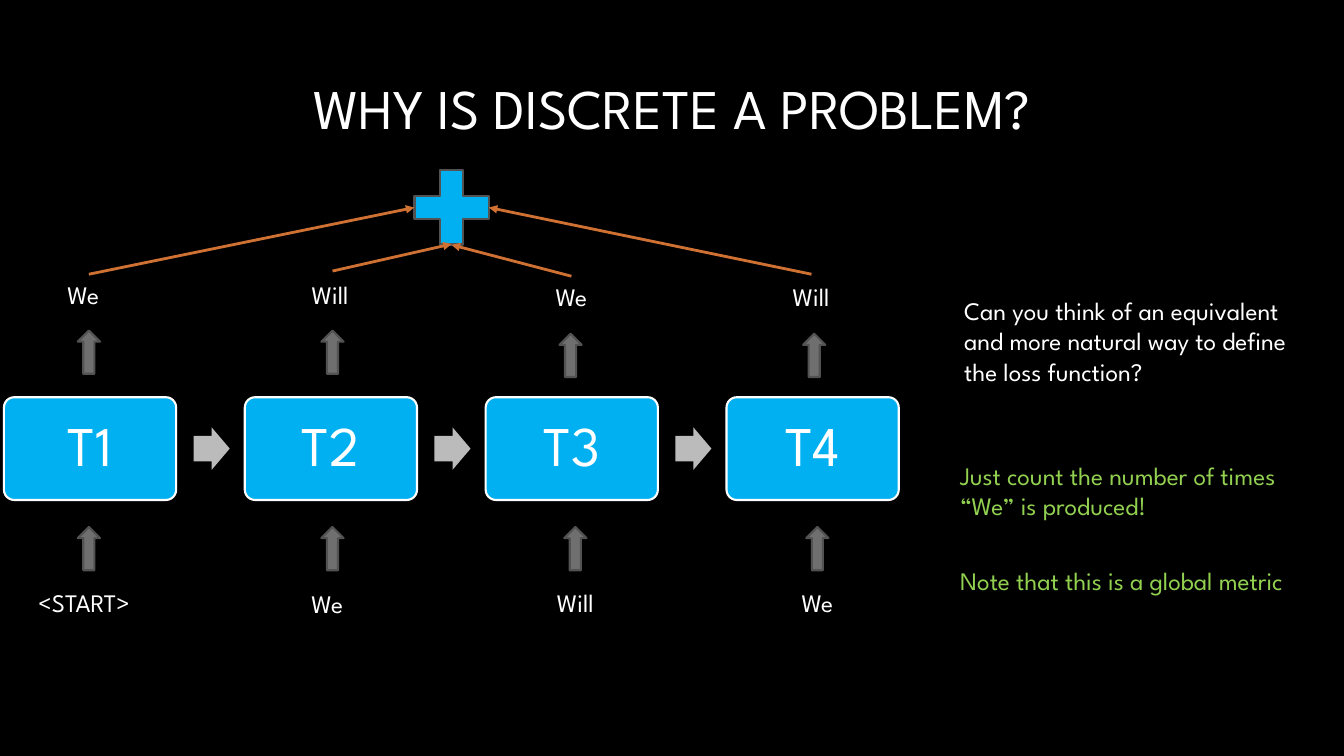
from pptx import Presentation
from pptx.dml.color import RGBColor
from pptx.enum.shapes import MSO_CONNECTOR, MSO_SHAPE
from pptx.enum.text import MSO_ANCHOR, MSO_AUTO_SIZE, PP_ALIGN
from pptx.oxml.ns import qn
from pptx.util import Cm, Pt
from lxml import etree

STRAIGHT = MSO_CONNECTOR.STRAIGHT
ROUNDED = MSO_SHAPE.ROUNDED_RECTANGLE
RIGHT_ARROW = MSO_SHAPE.RIGHT_ARROW
UP_ARROW = MSO_SHAPE.UP_ARROW
PLUS = MSO_SHAPE.MATH_PLUS
TOP, MIDDLE = MSO_ANCHOR.TOP, MSO_ANCHOR.MIDDLE
LEFT, CENTER = PP_ALIGN.LEFT, PP_ALIGN.CENTER
NO_AUTOFIT = MSO_AUTO_SIZE.NONE

WHITE, BLACK, BLUE, GREEN = "FFFFFF", "000000", "00B0F0", "92D050"
SILVER, GRAY, DARK_GRAY, ORANGE = "BBBBBB", "6F6F6F", "525252", "CF7133"

STEP_PITCH = 6.07
STEPS = ["T1", "T2", "T3", "T4"]
OUTPUTS = [
    ("We", 2.1, 6.91, 2.24, 8.33),
    ("Will", 8.32, 6.91, 8.38, 8.33),
    ("We", 14.4, 6.96, 14.38, 8.41),
    ("Will", 20.44, 6.96, 20.52, 8.41),
]
INPUTS = [
    ("<START>", 2.12, 14.68, 2.24, 13.28),
    ("We", 8.25, 14.71, 8.38, 13.28),
    ("Will", 14.5, 14.68, 14.5, 13.28),
    ("We", 20.6, 14.68, 20.6, 13.28),
]
SUM_LINES = [
    (2.24, 6.91, 10.44, 5.23),
    (8.38, 6.83, 11.38, 6.15),
    (14.4, 6.96, 11.38, 6.17),
    (20.45, 6.91, 12.32, 5.23),
]
NOTES = [
    ("Can you think of an equivalent and more natural way to define the loss function?",
     24.05, 7.32, 3.33, WHITE),
    ("Just count the number of times “We” is produced!", 23.95, 11.48, 1.8, GREEN),
    ("Note that this is a global metric", 23.95, 14.12, 1.8, GREEN),
]


def rgb(value):
    """Turn a hex string into a colour."""
    return RGBColor.from_string(value)


def write(frame, text, size=18, color=WHITE, align=LEFT, anchor=TOP, wrap=True, spacing=1.0):
    """Put one formatted paragraph into a text frame."""
    frame.auto_size = NO_AUTOFIT
    frame.word_wrap = wrap
    frame.vertical_anchor = anchor
    para = frame.paragraphs[0]
    para.alignment = align
    para.line_spacing = spacing
    span = para.add_run()
    span.text = text
    span.font.name = "League Spartan"
    span.font.size = Pt(size)
    span.font.color.rgb = rgb(color)


class Page:
    """Hold the current slide and draw its elements in one style."""

    def __init__(self, deck):
        """Add a black slide with a title."""
        self.slide = deck.slides.add_slide(deck.slide_layouts[5])
        fill = self.slide.background.fill
        fill.solid()
        fill.fore_color.rgb = rgb(BLACK)

    def title(self, text, left, top, width, height):
        """Move and fill the title placeholder."""
        box = self.slide.shapes.title
        box.left, box.top, box.width, box.height = Cm(left), Cm(top), Cm(width), Cm(height)
        write(box.text_frame, text, size=40, align=CENTER, anchor=MIDDLE)

    def text(self, text, left, top, width, height, **style):
        """Add a text box."""
        box = self.slide.shapes.add_textbox(Cm(left), Cm(top), Cm(width), Cm(height))
        write(box.text_frame, text, **style)

    def shape(self, kind, left, top, width, height, fill, line=None, adjustments=()):
        """Add a filled preset shape and return it."""
        shape = self.slide.shapes.add_shape(kind, Cm(left), Cm(top), Cm(width), Cm(height))
        shape.shadow.inherit = False
        for index, value in enumerate(adjustments):
            shape.adjustments[index] = value
        shape.fill.solid()
        shape.fill.fore_color.rgb = rgb(fill)
        if line:
            shape.line.color.rgb = rgb(line)
            shape.line.width = Pt(1.5)
        else:
            shape.line.fill.background()
        return shape

    def arrow(self, start_x, start_y, end_x, end_y):
        """Add a straight line with an arrowhead at its end."""
        line = self.slide.shapes.add_connector(
            STRAIGHT, Cm(start_x), Cm(start_y), Cm(end_x), Cm(end_y))
        line.line.color.rgb = rgb(ORANGE)
        line.line.width = Pt(2)
        properties = line.line._get_or_add_ln()
        etree.SubElement(properties, qn("a:tailEnd"), type="triangle")
        etree.SubElement(properties.getparent(), qn("a:effectLst"))

    def step(self, text, left):
        """Add one time step of the chain."""
        box = self.shape(ROUNDED, left, 10.01, 4.34, 2.59, BLUE, WHITE, (0.1,))
        write(box.text_frame, text, size=40, align=CENTER, anchor=MIDDLE, spacing=0.9)

    def token(self, word, center, top, arrow_center, arrow_top):
        """Add a word and the upward arrow beside it."""
        self.shape(UP_ARROW, arrow_center - 0.28, arrow_top, 0.56, 1.09, GRAY, DARK_GRAY)
        width = 3.02 if len(word) > 4 else 1.55
        self.text(word, center - width / 2, top, width, 1.02, align=CENTER, wrap=False)


def main():
    """Build and save the deck."""
    deck = Presentation()
    deck.slide_width, deck.slide_height = Cm(33.87), Cm(19.05)
    page = Page(deck)
    page.title("WHY IS DISCRETE A PROBLEM?", 3.18, 1.32, 27.51, 2.74)
    for index, step in enumerate(STEPS):
        left = 0.1 + index * STEP_PITCH
        page.step(step, left)
        if index < len(STEPS) - 1:
            page.shape(RIGHT_ARROW, left + 4.78, 10.77, 0.91, 1.07, SILVER,
                       adjustments=(0.6, 0.5))
    for token in OUTPUTS + INPUTS:
        page.token(*token)
    page.shape(PLUS, 10.11, 3.96, 2.54, 2.54, BLUE, DARK_GRAY)
    for ends in SUM_LINES:
        page.arrow(*ends)
    for text, left, top, height, color in NOTES:
        page.text(text, left, top, 9.19, height, color=color)
    deck.save("out.pptx")


if __name__ == "__main__":
    main()
